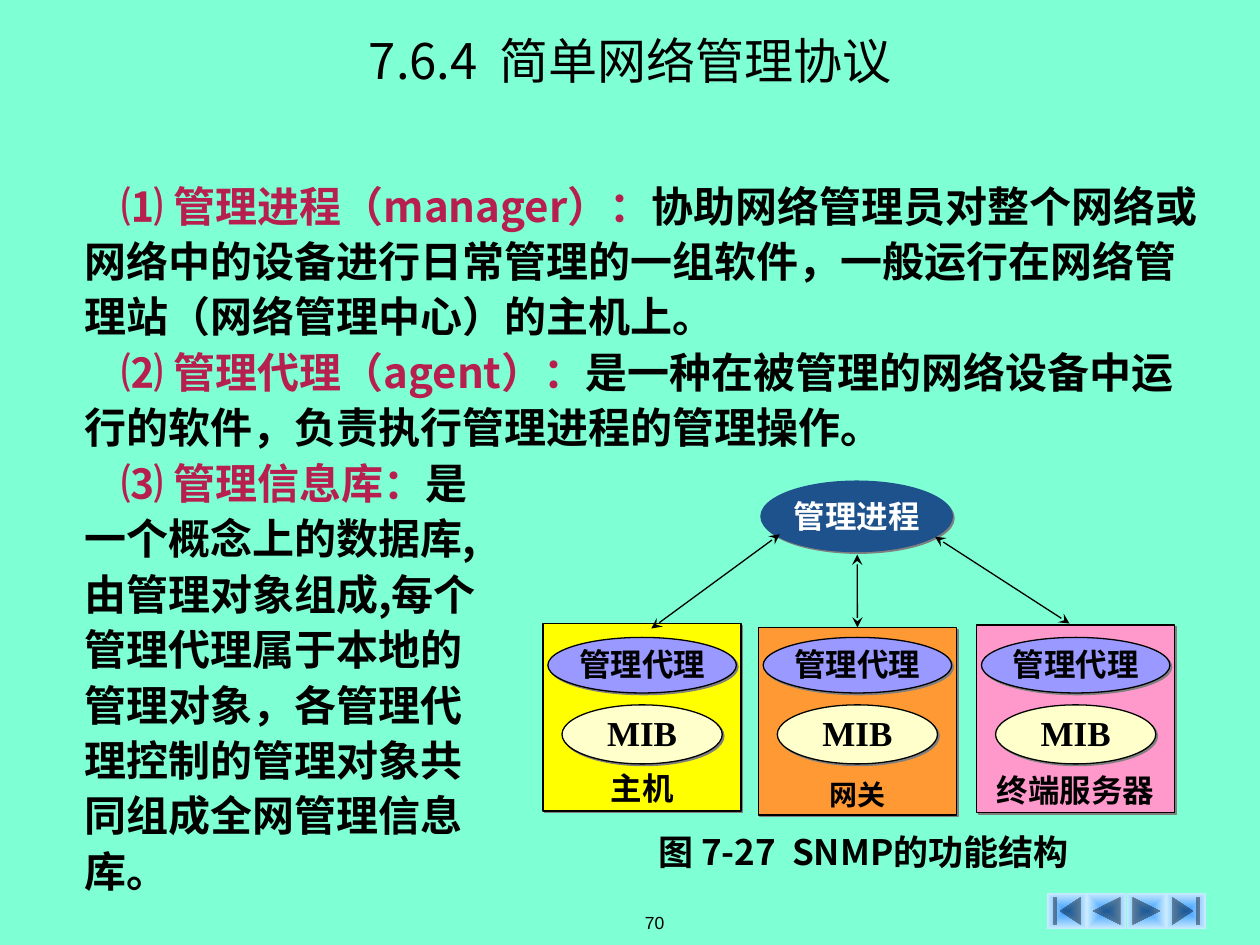
"""Build the slide on the simple network management protocol."""
from dataclasses import dataclass

from lxml import etree
from pptx import Presentation
from pptx.dml.color import RGBColor
from pptx.enum.shapes import MSO_CONNECTOR, MSO_SHAPE
from pptx.enum.text import MSO_ANCHOR, PP_ALIGN
from pptx.oxml import parse_xml
from pptx.oxml.ns import nsdecls, qn
from pptx.util import Cm, Pt

RECT, OVAL, LINE = MSO_SHAPE.RECTANGLE, MSO_SHAPE.OVAL, MSO_CONNECTOR.STRAIGHT
FIRST, BACK = MSO_SHAPE.ACTION_BUTTON_BEGINNING, MSO_SHAPE.ACTION_BUTTON_BACK_OR_PREVIOUS
NEXT, LAST = MSO_SHAPE.ACTION_BUTTON_FORWARD_OR_NEXT, MSO_SHAPE.ACTION_BUTTON_END
LEFT, MID = PP_ALIGN.LEFT, PP_ALIGN.CENTER
TOP, CENTER, BOTTOM = MSO_ANCHOR.TOP, MSO_ANCHOR.MIDDLE, MSO_ANCHOR.BOTTOM


@dataclass
class Theme:
    page: str = "7FFFD4"
    ink: str = "000000"
    white: str = "FFFFFF"
    accent: str = "B71F4E"
    navy: str = "1D528D"
    yellow: str = "FFFF00"
    orange: str = "FF9933"
    pink: str = "FF99CC"
    agent: str = "9999FF"
    cream: str = "FFFFCC"
    shade: str = "808080"
    inner: str = "3399FF"
    outer: str = "CCECFF"
    sans: str = "Noto Sans CJK SC"
    serif: str = "Times New Roman"
    plain: str = "Arial"
    title: int = 28
    body: int = 24
    large: int = 20
    label: int = 18
    small: int = 16
    tiny: int = 10


theme = Theme()


def write(shape, paras, size, font, bold=True, align=MID, anchor=CENTER, space=1.0, indent=0):
    """Fill a shape with paragraphs of (text, colour) runs."""
    frame = shape.text_frame
    frame.word_wrap = True
    frame.vertical_anchor = anchor
    frame.margin_left = frame.margin_right = frame.margin_top = 0
    frame.margin_bottom = Cm(0.08) if anchor == BOTTOM else 0
    for i, runs in enumerate(paras):
        para = frame.add_paragraph() if i else frame.paragraphs[0]
        para.alignment = align
        para.line_spacing = space
        if indent:
            para._p.get_or_add_pPr().set("indent", str(Cm(indent)))
        for text, color in runs:
            run = para.add_run()
            run.text = text
            run.font.size = Pt(size)
            run.font.bold = bold
            run.font.name = font
            run.font.color.rgb = RGBColor.from_string(color)
            etree.SubElement(run._r.rPr, qn("a:ea"), typeface=theme.sans)


def draw(kind, box, fill, edge=theme.ink):
    """Add a filled, outlined shape with a small hard shadow."""
    shape = slide.shapes.add_shape(kind, *map(Cm, box))
    shape.fill.solid()
    shape.fill.fore_color.rgb = RGBColor.from_string(fill)
    shape.line.color.rgb = RGBColor.from_string(edge)
    shape.line.width = Pt(0.75)
    shape.shadow.inherit = False
    cast = etree.SubElement(shape._element.spPr.find(qn("a:effectLst")), qn("a:outerShdw"),
                            dist=str(Pt(1.4)), dir="2700000", algn="ctr", rotWithShape="0")
    etree.SubElement(cast, qn("a:srgbClr"), val=theme.shade)
    return shape


deck = Presentation()
deck.slide_width, deck.slide_height = Cm(25.4), Cm(19.05)
slide = deck.slides.add_slide(deck.slide_layouts[6])
slide.background.fill.solid()
slide.background.fill.fore_color.rgb = RGBColor.from_string(theme.page)

for i, kind in enumerate((FIRST, BACK, NEXT, LAST)):
    button = slide.shapes.add_shape(kind, Cm(21.11 + 0.8 * i), Cm(18), Cm(0.8), Cm(0.73))
    button.shadow.inherit = False
    button.line.fill.background()
    button._element.spPr.find(qn("a:prstGeom")).addnext(parse_xml(
        f'<a:gradFill {nsdecls("a")} rotWithShape="0"><a:gsLst>'
        f'<a:gs pos="0"><a:srgbClr val="{theme.inner}"/></a:gs>'
        f'<a:gs pos="100000"><a:srgbClr val="{theme.outer}"/></a:gs></a:gsLst>'
        '<a:path path="rect"><a:fillToRect l="50000" t="50000" r="50000" b="50000"/>'
        '</a:path></a:gradFill>'))

ink, accent = theme.ink, theme.accent
points = [
    [("⑴ 管理进程（manager）：", accent),
     ("协助网络管理员对整个网络或网络中的设备进行日常管理的一组软件，"
      "一般运行在网络管理站（网络管理中心）的主机上。", ink)],
    [("⑵ 管理代理（agent）：", accent),
     ("是一种在被管理的网络设备中运行的软件，负责执行管理进程的管理操作。", ink)],
]
store = [
    [("⑶ 管理信息库：", accent),
     ("是一个概念上的数据库,由管理对象组成,每个管理代理属于本地的管理对象，"
      "各管理代理控制的管理对象共同组成全网管理信息库。", ink)],
]
prose = dict(align=LEFT, anchor=TOP, space=1.1, indent=0.76)
texts = (
    ((0, 0.43, 25.4, 1.57), [[("7.6.4  简单网络管理协议", ink)]],
     theme.title, theme.sans, dict(bold=False)),
    ((1.7, 3.53, 22.61, 5.59), points, theme.body, theme.sans, prose),
    ((1.7, 9.12, 8.2, 8.94), store, theme.body, theme.sans, prose),
    ((13.13, 16.92, 8.56, 0.64), [[("图 7-27  SNMP的功能结构", ink)]],
     theme.large, theme.sans, dict(space=0.8)),
    ((10.49, 18.14, 5.41, 0.91), [[("70", ink)]], theme.tiny, theme.plain, dict(bold=False)),
)
for box, paras, size, font, style in texts:
    write(slide.shapes.add_textbox(*map(Cm, box)), paras, size, font, **style)

boss = draw(OVAL, (15.34, 9.7, 3.86, 1.42), theme.navy, theme.navy)
write(boss, [[("管理进程", theme.white)]], theme.label, theme.serif)

hosts = (
    ("主机", 10.95, 12.57, theme.yellow, theme.label),
    ("网关", 15.29, 12.65, theme.orange, theme.small),
    ("终端服务器", 19.69, 12.6, theme.pink, theme.label),
)
wide = 3.99
panels = []
for name, left, top, fill, size in hosts:
    panel = draw(RECT, (left, top, wide, 3.78), fill)
    write(panel, [[(name, ink)]], size, theme.sans, anchor=BOTTOM)
    panels.append(panel)
    for text, y, w, h, tint, size in (
        ("管理代理", 12.85, 3.8, 1.12, theme.agent, theme.label),
        ("MIB", 14.21, 3.23, 1.19, theme.cream, theme.large),
    ):
        oval = draw(OVAL, (left + (wide - w) / 2, y, w, h), tint)
        write(oval, [[(text, ink)]], size, theme.serif, space=0.96)

for ends, panel in (
    ((13.13, 12.67, 15.72, 10.77), None),
    ((17.28, 11.18, 17.28, 12.65), panels[1]),
    ((18.85, 10.82, 21.56, 12.57), None),
):
    arrow = slide.shapes.add_connector(LINE, *map(Cm, ends))
    if panel:
        arrow.end_connect(panel, 0)
    arrow.line.color.rgb = RGBColor.from_string(ink)
    arrow.line.width = Pt(0.75)
    props = arrow._element.spPr
    for tag in ("a:headEnd", "a:tailEnd"):
        etree.SubElement(props.find(qn("a:ln")), qn(tag), type="stealth")
    etree.SubElement(props, qn("a:effectLst"))

deck.save("out.pptx")
